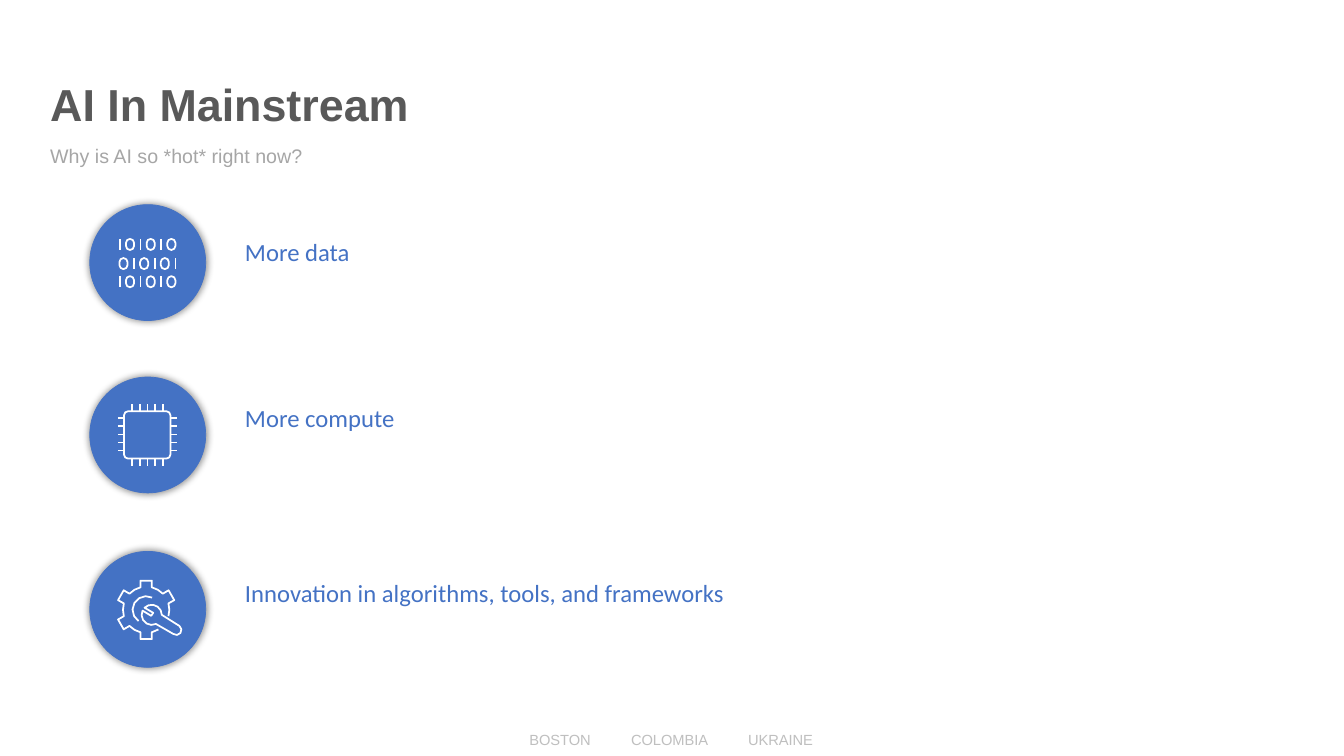
import math
import pptx
import pptx.dml.color
import pptx.enum.shapes
import pptx.enum.text
import pptx.oxml
import pptx.oxml.ns
import pptx.util

Inches = pptx.util.Inches
Pt = pptx.util.Pt
rgb = pptx.dml.color.RGBColor.from_string
ANCHOR = pptx.enum.text.MSO_ANCHOR
NAMESPACE = pptx.oxml.ns.nsdecls("a")
BLUE = "4472C4"


def arc(center, radius, start, end, steps):
    """Return points along a circle, with angles in degrees."""
    angles = [math.radians(start + (end - start) * i / steps) for i in range(steps + 1)]
    return [(center[0] + radius * math.cos(a), center[1] + radius * math.sin(a)) for a in angles]


deck = pptx.Presentation()
deck.slide_width, deck.slide_height = Inches(13.33), Inches(7.5)
page = deck.slides.add_slide(deck.slide_layouts[6])

# Headings, reasons and footer
heading = {"name": "Arial", "size": Pt(32), "bold": True}
subheading = {"name": "Arial", "size": Pt(14)}
reason = {"name": "Calibri", "size": Pt(17.6)}
footer = {"name": "Arial", "size": Pt(10.5)}
inset = {"margin_left": 0, "margin_right": 0, "margin_top": 0, "margin_bottom": 0}
texts = [
    ("BOSTON\tCOLOMBIA\tUKRAINE", (0, 7.2, 13.33, 0.28), footer, "BFBFBF",
     {"margin_left": Inches(5.25)}, 1.0),
    ("AI In Mainstream", (0.4, 0.75, 9.46, 0.62), heading, "595959",
     {"vertical_anchor": ANCHOR.MIDDLE}, 0.9),
    ("Why is AI so *hot* right now?", (0.4, 1.4, 9.46, 0.42), subheading, "A6A6A6", {}, 0.9),
    ("More data", (2.43, 2.35, 8.61, 0.51), reason, BLUE, inset, 1.0),
    ("More compute", (2.43, 4, 8.61, 0.64), reason, BLUE, inset, 1.0),
    ("Innovation in algorithms, tools, and frameworks", (2.43, 5.73, 8.61, 0.64),
     reason, BLUE, inset, 1.0),
]
for words, place, font, color, frame, spacing in texts:
    box = page.shapes.add_textbox(*map(Inches, place))
    box.text_frame.word_wrap = True
    for name, value in frame.items():
        setattr(box.text_frame, name, value)
    para = box.text_frame.paragraphs[0]
    para.line_spacing = spacing
    if "\t" in words:
        stops = "".join(f'<a:tab pos="{Inches(stop)}" algn="l"/>' for stop in (1.01, 2.17))
        para._p.get_or_add_pPr().append(
            pptx.oxml.parse_xml(f"<a:tabLst {NAMESPACE}>{stops}</a:tabLst>"))
    span = para.add_run()
    span.text = words
    span.font.color.rgb = rgb(color)
    for name, value in font.items():
        setattr(span.font, name, value)

# Binary digits, as contours of (points, closed)
digits = []
for top, one_left, zero_left in ((2.37, 1.19, 1.29), (2.56, 1.33, 1.225), (2.74, 1.19, 1.29)):
    for column in range(3):
        one = one_left + 0.205 * column
        zero = zero_left + 0.205 * column
        digits.append(([(one, top), (one, top + 0.11)], False))
        digits.append((arc((zero, top + 0.04), 0.04, 180, 360, 4)
                       + arc((zero, top + 0.07), 0.04, 0, 180, 4), True))

# Chip body and pins
body = []
for x, y, start in ((1.27, 4.12, 180), (1.65, 4.12, 270), (1.65, 4.51, 0), (1.27, 4.51, 90)):
    body += arc((x, y), 0.04, start, start + 90, 2)
chip = [(body, True)]
for pin in range(5):
    x, y = 1.31 + 0.077 * pin, 4.15 + 0.08 * pin
    chip += [([(x, 4.01), (x, 4.08)], False), ([(x, 4.55), (x, 4.62)], False),
             ([(1.17, y), (1.23, y)], False), ([(1.69, y), (1.76, y)], False)]

# Gear with five visible teeth, its hub, and a wrench
hub_center, head_center = (1.45, 6.05), (1.505, 6.1)
gear = arc(hub_center, 0.23, 58, 76, 1)
for tooth in range(90, 331, 60):
    gear += arc(hub_center, 0.295, tooth - 11, tooth + 11, 1)
    gear += arc(hub_center, 0.23, tooth + 14, tooth + 46, 2)
hub = arc(hub_center, 0.135, 296, 124, 6)
wrench = arc((1.75, 6.25), 0.05, 127, -53, 4)
wrench += arc(head_center, 0.1, 0, -135, 5)
wrench += [(1.52, 6.08), (1.5, 6.11)]
wrench += arc(head_center, 0.1, 205, 65, 5)
tools = [(gear, False), (hub, False), (wrench, True)]

# Each icon is one white outline on a blue circle
for top, icon in ((2.03, digits), (3.74, chip), (5.47, tools)):
    circle = page.shapes.add_shape(pptx.enum.shapes.MSO_SHAPE.OVAL,
                                   Inches(0.89), Inches(top), Inches(1.15), Inches(1.15))
    circle.fill.solid()
    circle.fill.fore_color.rgb = rgb(BLUE)
    circle.line.color.rgb = rgb(BLUE)
    circle.line.width = Pt(0.5)
    circle._element.spPr.append(pptx.oxml.parse_xml(
        f'<a:effectLst {NAMESPACE}><a:outerShdw blurRad="{Pt(5)}" sx="102000" sy="102000" '
        'algn="ctr"><a:srgbClr val="000000"><a:alpha val="40000"/></a:srgbClr>'
        '</a:outerShdw></a:effectLst>'))

    builder = page.shapes.build_freeform()
    for points, closed in icon:
        corners = [(Inches(x), Inches(y)) for x, y in points]
        builder.move_to(*corners[0])
        builder.add_line_segments(corners[1:], close=closed)
    # The builder counts its own start, so put it on the first contour
    first_x, first_y = icon[0][0][0]
    builder._start_x, builder._start_y = Inches(first_x), Inches(first_y)
    outline = builder.convert_to_shape()
    outline.fill.background()
    outline.line.color.rgb = rgb("FFFFFF")
    outline.line.width = Pt(1.25)
    outline.shadow.inherit = False

deck.save("out.pptx")
